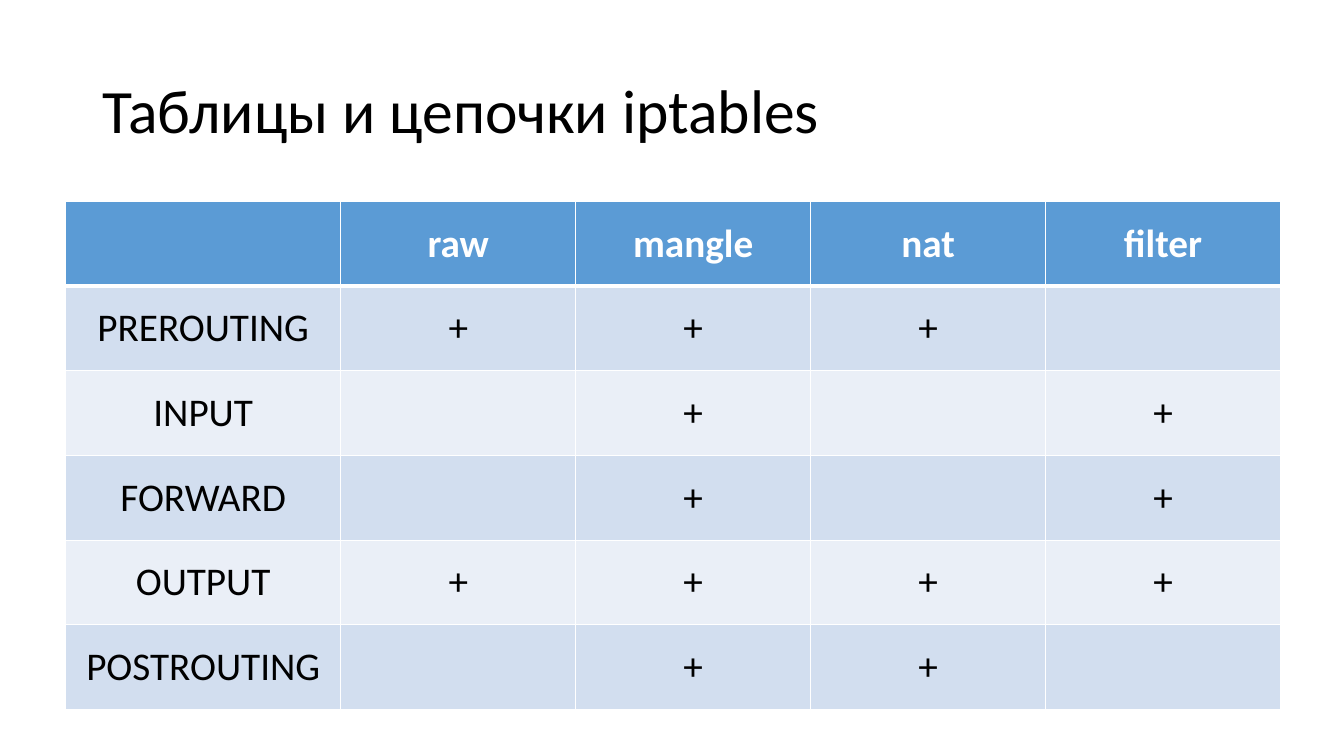
from lxml import etree
from pptx import Presentation
from pptx.dml.color import RGBColor
from pptx.enum.text import MSO_ANCHOR, PP_ALIGN
from pptx.oxml.ns import qn
from pptx.util import Inches, Pt

MIDDLE = MSO_ANCHOR.MIDDLE
LEFT, CENTER = PP_ALIGN.LEFT, PP_ALIGN.CENTER

COLORS = {
    "text": "000000",
    "white": "FFFFFF",
    "header": "5B9BD5",
    "odd_row": "D2DEEF",
    "even_row": "EAEFF7",
}

TABLES = ["raw", "mangle", "nat", "filter"]
CHAINS = {
    "PREROUTING": {"raw", "mangle", "nat"},
    "INPUT": {"mangle", "filter"},
    "FORWARD": {"mangle", "filter"},
    "OUTPUT": {"raw", "mangle", "nat", "filter"},
    "POSTROUTING": {"mangle", "nat"},
}


def color(name):
    return RGBColor.from_string(COLORS[name])


def write_text(frame, text, size, font="Calibri", tint="text", bold=False,
               align=LEFT, spacing=1.0):
    para = frame.paragraphs[0]
    para.alignment = align
    para.line_spacing = spacing
    para.font.size = Pt(size)
    if text:
        span = para.add_run()
        span.text = text
        span.font.name = font
        span.font.size = Pt(size)
        span.font.bold = bold
        span.font.color.rgb = color(tint)


def add_border(cell, side, width):
    """Draw one white edge; side is L, R, T or B. Call before filling the cell."""
    properties = cell._tc.get_or_add_tcPr()
    line = etree.SubElement(properties, qn(f"a:ln{side}"), w=str(Pt(width)))
    fill = etree.SubElement(line, qn("a:solidFill"))
    etree.SubElement(fill, qn("a:srgbClr"), val=COLORS["white"])


class SlideBuilder:
    def __init__(self, slide):
        self.slide = slide

    def title(self, text, left, top, width, height):
        box = self.slide.shapes.add_textbox(
            Inches(left), Inches(top), Inches(width), Inches(height))
        frame = box.text_frame
        frame.word_wrap = True
        frame.vertical_anchor = MIDDLE
        write_text(frame, text, 44, spacing=0.9)

    def table(self, rows, left, top, column_widths, row_height):
        frame = self.slide.shapes.add_table(
            len(rows), len(column_widths), Inches(left), Inches(top),
            Inches(sum(column_widths)), Inches(row_height * len(rows)))
        grid = frame.table
        for column, width in zip(grid.columns, column_widths):
            column.width = Inches(width)
        for row_index, texts in enumerate(rows):
            grid.rows[row_index].height = Inches(row_height)
            for column_index, text in enumerate(texts):
                self.cell(grid.cell(row_index, column_index), text, row_index)

    def cell(self, cell, text, row_index):
        is_header = row_index == 0
        edges = {"L": 1, "R": 1,
                 "T": 3 if row_index == 1 else 1,
                 "B": 3 if is_header else 1}
        for side, width in edges.items():
            add_border(cell, side, width)
        band = "odd_row" if row_index % 2 else "even_row"
        cell.fill.solid()
        cell.fill.fore_color.rgb = color("header" if is_header else band)
        cell.vertical_anchor = MIDDLE
        write_text(cell.text_frame, text, 28, align=CENTER, bold=is_header,
                   tint="white" if is_header else "text")


def main():
    deck = Presentation()
    deck.slide_width, deck.slide_height = Inches(13.33), Inches(7.5)
    page = SlideBuilder(deck.slides.add_slide(deck.slide_layouts[6]))

    page.title("Таблицы и цепочки iptables", 0.92, 0.4, 11.5, 1.45)
    rows = [["", *TABLES]]
    for chain, used in CHAINS.items():
        rows.append([chain, *("+" if name in used else "" for name in TABLES)])
    page.table(rows, 0.65, 2, [2.73] + [2.33] * len(TABLES), 0.84)

    deck.save("out.pptx")


if __name__ == "__main__":
    main()
